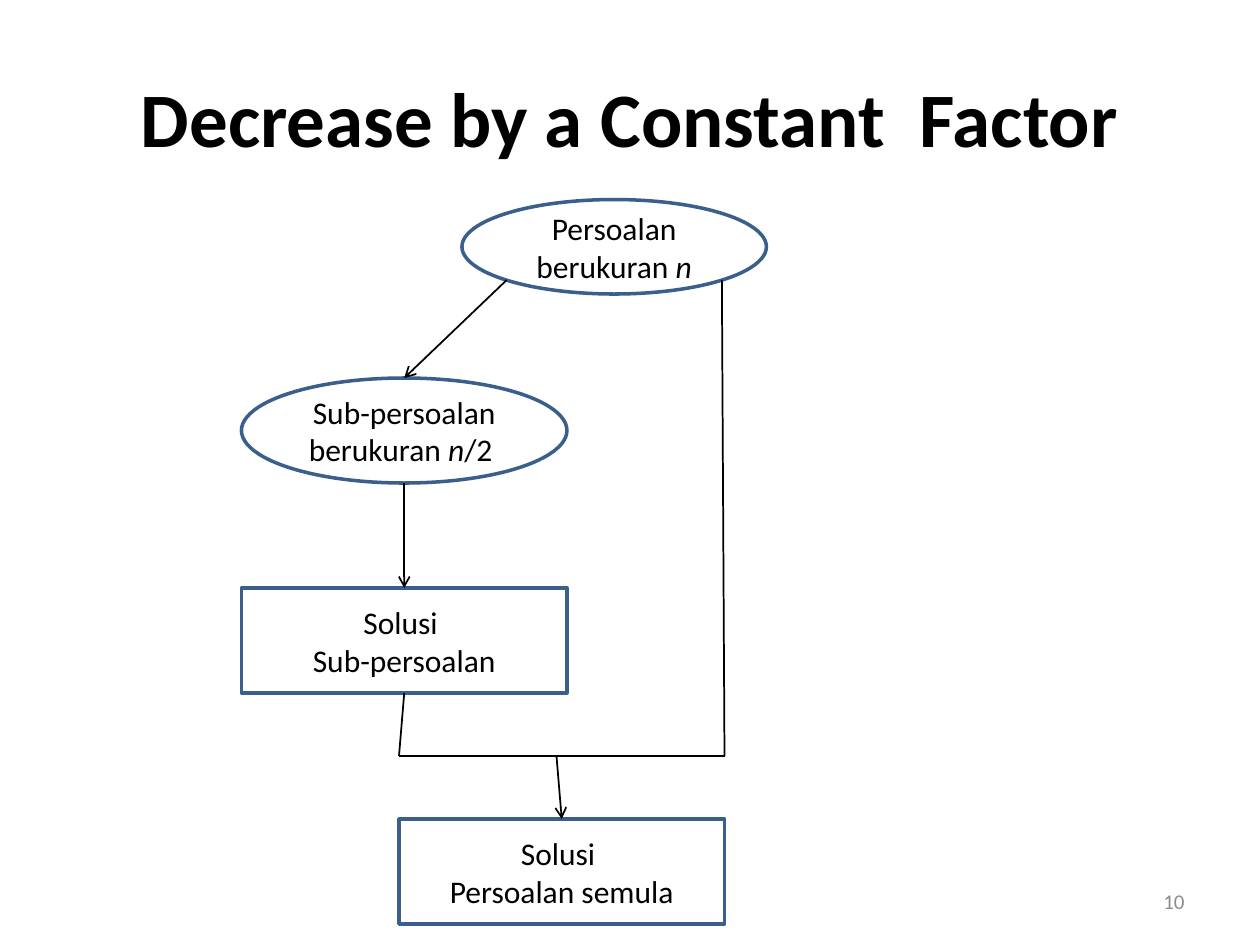
from math import sqrt

from lxml.etree import SubElement
from pptx import Presentation
from pptx.dml.color import RGBColor
from pptx.enum.shapes import MSO_CONNECTOR, MSO_SHAPE
from pptx.enum.text import MSO_ANCHOR, PP_ALIGN
from pptx.oxml.ns import qn
from pptx.util import Inches, Pt

COLORS = {"text": "000000", "outline": "3A5F8C", "arrow": "000000", "number": "8C8C8C"}
FONT = "Calibri"
CELL = 1 / 12  # the slide is a grid of 120 columns by 90 rows


def grid(*cells):
    return [Inches(cell * CELL) for cell in cells]


def color(name):
    return RGBColor.from_string(COLORS[name])


def write(shape, paragraphs, size, align=PP_ALIGN.CENTER, ink="text", bold=False):
    """Each paragraph is a list of spans; a span is (text, italic)."""
    frame = shape.text_frame
    frame.word_wrap = True
    frame.vertical_anchor = MSO_ANCHOR.MIDDLE
    for index, spans in enumerate(paragraphs):
        para = frame.add_paragraph() if index else frame.paragraphs[0]
        para.alignment = align
        for text, italic in spans:
            span = para.add_run()
            span.text = text
            span.font.name = FONT
            span.font.size = Pt(size)
            span.font.bold = bold
            span.font.italic = italic
            span.font.color.rgb = color(ink)


def add_label(page, place, text, size, **style):
    box = page.shapes.add_textbox(*grid(*place))
    write(box, [[(text, False)]], size, **style)


def add_node(page, kind, place, paragraphs):
    node = page.shapes.add_shape(kind, *grid(*place))
    node.shadow.inherit = False
    node.fill.background()
    node.line.color.rgb = color("outline")
    node.line.width = Pt(2)
    write(node, paragraphs, 18)


def add_link(page, start, end, arrow=False):
    link = page.shapes.add_connector(MSO_CONNECTOR.STRAIGHT, *grid(*start, *end))
    link.line.color.rgb = color("arrow")
    link.line.width = Pt(1)
    if arrow:
        SubElement(link.line._get_or_add_ln(), qn("a:tailEnd"), type="arrow")
    SubElement(link._element.spPr, qn("a:effectLst"))


def edge(place, across, down):
    """Point of a node's outline: across and down are -1, 0 or 1 from its centre.

    Diagonal points lie on the ellipse inscribed in the place.
    """
    left, top, width, height = place
    reach = 1 / sqrt(2) if across and down else 1
    return (left + width / 2 * (1 + across * reach),
            top + height / 2 * (1 + down * reach))


def main():
    deck = Presentation()
    deck.slide_width, deck.slide_height = grid(120, 90)
    page = deck.slides.add_slide(deck.slide_layouts[6])

    # Title
    add_label(page, (6, 3.6, 108, 15), "Decrease by a Constant  Factor", 44, bold=True)

    # Problems and solutions
    problem = (44, 19, 29, 9)
    subproblem = (23, 36, 31, 10)
    subsolution = (23, 56, 31, 10)
    solution = (38, 78, 31, 10)
    add_node(page, MSO_SHAPE.OVAL, problem,
             [[("Persoalan berukuran ", False), ("n", True)]])
    add_node(page, MSO_SHAPE.OVAL, subproblem,
             [[("Sub-persoalan berukuran ", False), ("n", True), ("/2 ", False)]])
    add_node(page, MSO_SHAPE.RECTANGLE, subsolution,
             [[("Solusi ", False)], [("Sub-persoalan", False)]])
    add_node(page, MSO_SHAPE.RECTANGLE, solution,
             [[("Solusi ", False)], [("Persoalan semula", False)]])

    # Flow from problem to sub-solution
    add_link(page, edge(problem, -1, 1), edge(subproblem, 0, -1), arrow=True)
    add_link(page, edge(subproblem, 0, 1), edge(subsolution, 0, -1), arrow=True)

    # Both branches join on a bar above the final solution
    bar_left, bar_right = (38, 72), (69, 72)
    add_link(page, edge(subsolution, 0, 1), bar_left)
    add_link(page, bar_left, bar_right)
    add_link(page, bar_right, edge(problem, 1, 1))
    add_link(page, (53, 72), edge(solution, 0, -1), arrow=True)

    # Page number
    add_label(page, (86, 83.4, 28, 4.8), "10", 12, align=PP_ALIGN.RIGHT, ink="number")

    deck.save("out.pptx")


if __name__ == "__main__":
    main()
